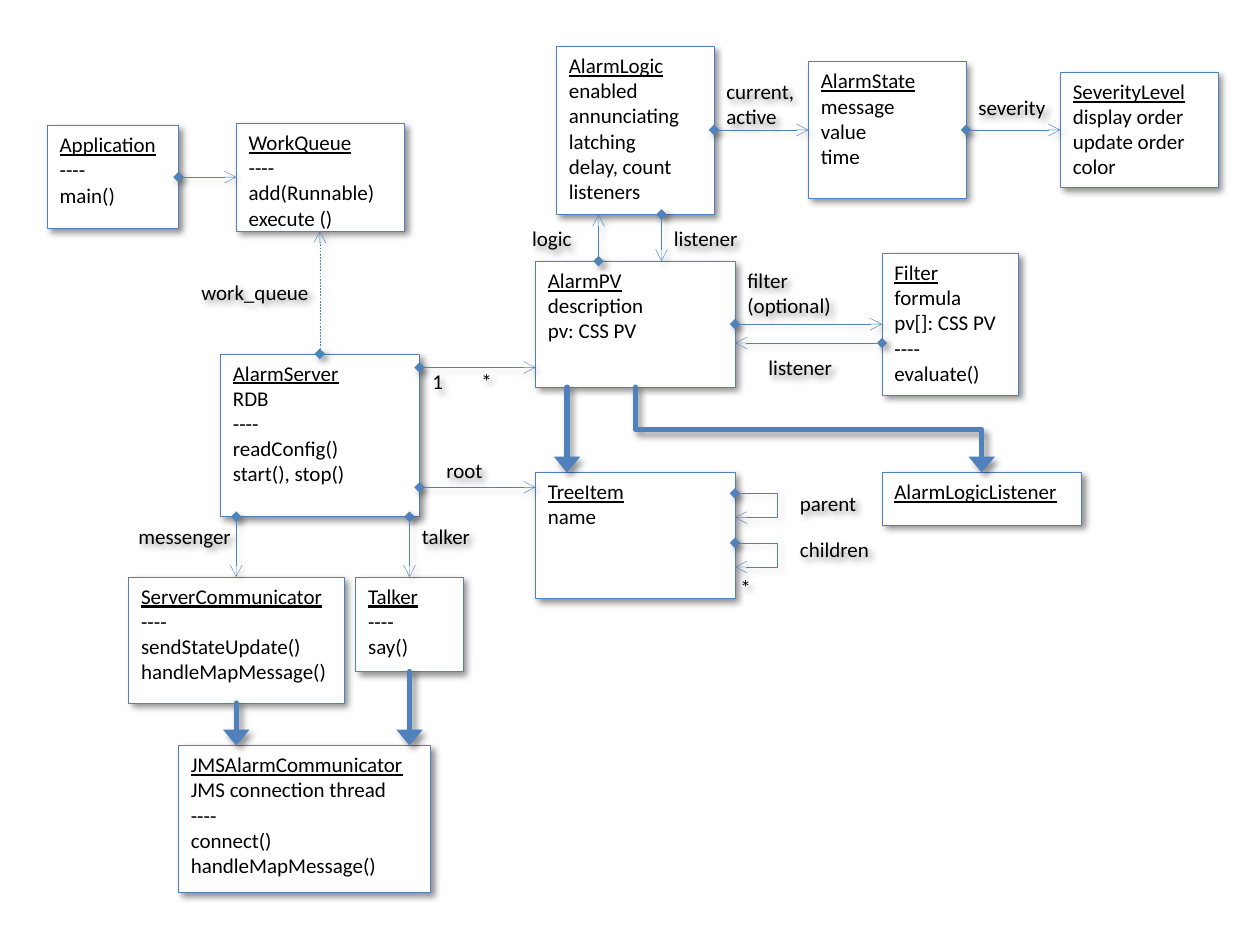
from dataclasses import dataclass
from typing import Optional

from lxml import etree
from pptx import Presentation
from pptx.dml.color import RGBColor
from pptx.enum.dml import MSO_LINE
from pptx.enum.shapes import MSO_CONNECTOR, MSO_SHAPE
from pptx.enum.text import MSO_ANCHOR, PP_ALIGN
from pptx.oxml.ns import qn
from pptx.util import Pt

BLUE, BLACK, WHITE = "4F81BD", "000000", "FFFFFF"
FONT, TEXT_SIZE = "Calibri", 12
THIN, THICK = 0.25, 3


@dataclass
class ClassBox:
    left: float
    top: float
    width: float
    height: float
    name: str
    members: tuple[str, ...] = ()


@dataclass
class Label:
    left: float
    top: float
    width: float
    height: float
    lines: tuple[str, ...]


@dataclass
class Link:
    x1: float
    y1: float
    x2: float
    y2: float
    head: Optional[str] = "diamond"
    tail: Optional[str] = "arrow"
    weight: float = THIN
    dashed: bool = False
    bend: Optional[int] = None
    rotation: int = 0


def inherits(x1: float, y1: float, x2: float, y2: float, **options) -> Link:
    return Link(x1, y1, x2, y2, head=None, tail="triangle", weight=THICK, **options)


def self_loop(y: float) -> list[Link]:
    """A stub leaving TreeItem and a bent arrow coming back."""
    return [
        Link(420, y, 438, y, tail=None),
        Link(438, y, 420, y + 13.75, head=None, bend=-33900),
    ]


BOXES = [
    ClassBox(606, 41.25, 90, 66, "SeverityLevel", ("display order", "update order", "color")),
    ClassBox(462, 35.25, 90, 78, "AlarmState", ("message", "value", "time")),
    ClassBox(318, 26.5, 90, 96, "AlarmLogic",
             ("enabled", "annunciating", "latching", "delay, count", "listeners")),
    ClassBox(306, 149.25, 114, 72, "AlarmPV", ("description", "pv: CSS PV")),
    ClassBox(504, 144.75, 78, 81, "Filter", ("formula", "pv[]: CSS PV", "----", "evaluate()")),
    ClassBox(126, 202.25, 113.75, 93, "AlarmServer",
             ("RDB", "----", "readConfig()", "start(), stop()")),
    ClassBox(73.5, 329.75, 123, 72, "ServerCommunicator",
             ("----", "sendStateUpdate()", "handleMapMessage()")),
    ClassBox(203.25, 329.75, 61.25, 54, "Talker", ("----", "say()")),
    ClassBox(102, 426, 144, 84, "JMSAlarmCommunicator",
             ("JMS connection thread", "----", "connect()", "handleMapMessage()")),
    ClassBox(135, 70.5, 96, 61.5, "WorkQueue", ("----", "add(Runnable)", "execute ()")),
    ClassBox(27, 71.75, 75, 58.75, "Application", ("----", "main()")),
    ClassBox(504, 270, 114, 30, "AlarmLogicListener"),
    ClassBox(306, 270, 114, 72, "TreeItem", ("name",)),
]

LINKS = [
    Link(552, 74.25, 606, 74.25),
    Link(408, 74.25, 462, 74.25),
    Link(420, 185.25, 504, 185.25),
    Link(504, 196, 420, 196),
    Link(239.75, 210, 306, 210),
    Link(239.75, 278.5, 306, 278.5),
    Link(135, 295.25, 135, 329.75),
    Link(234, 295.25, 234, 329.75),
    Link(102, 101.25, 135, 101.25),
    Link(182.75, 202.25, 182.75, 132, dashed=True),
    Link(342, 149.25, 342, 122.5),
    Link(378, 122.5, 378, 149.25),
    *self_loop(282),
    *self_loop(310.25),
    inherits(135, 401.75, 135, 426),
    inherits(234, 383.75, 234, 426),
    inherits(324, 221.25, 324, 270),
    # Frame turned by 270 degrees: runs from AlarmPV down to AlarmLogicListener
    inherits(486.5, 146.75, 437.75, 344.5, bend=50000, rotation=270),
]

LABELS = [
    Label(552, 50.25, 54, 24, ("severity",)),
    Label(408, 41.25, 54, 33, ("current, active",)),
    Label(420, 149.25, 66, 36, ("filter", "(optional)")),
    Label(108, 156, 83, 27, ("work_queue",)),
    Label(72, 295.5, 72, 27, ("messenger",)),
    Label(234, 295.5, 45, 27, ("talker",)),
    Label(432, 199, 54, 27, ("listener",)),
    Label(297, 125.5, 45, 24, ("logic",)),
    Label(378, 125.5, 54, 24, ("listener",)),
    Label(240, 207.25, 24, 21, ("1",)),
    Label(268, 207.25, 24, 21, ("*",)),
    Label(450, 276.5, 54, 27, ("parent",)),
    Label(450, 303, 54, 27, ("children",)),
    Label(416, 325, 30, 21, ("*",)),
    Label(248, 258, 45, 23, ("root",)),
]


def color(value: str) -> RGBColor:
    return RGBColor.from_string(value)


def add_shadow(properties) -> None:
    effects = properties.find(qn("a:effectLst"))
    if effects is None:
        effects = etree.SubElement(properties, qn("a:effectLst"))
    shadow = etree.SubElement(effects, qn("a:outerShdw"), blurRad=str(Pt(4)),
                              dist=str(Pt(3)), dir="2700000", algn="tl", rotWithShape="0")
    tint = etree.SubElement(shadow, qn("a:srgbClr"), val=BLACK)
    etree.SubElement(tint, qn("a:alpha"), val="43000")


def write_lines(shape, lines: tuple[str, ...], titled: bool = False) -> None:
    frame = shape.text_frame
    frame.word_wrap = True
    frame.vertical_anchor = MSO_ANCHOR.TOP
    for index, line in enumerate(lines):
        paragraph = frame.add_paragraph() if index else frame.paragraphs[0]
        paragraph.alignment = PP_ALIGN.LEFT
        run = paragraph.add_run()
        run.text = line
        run.font.name = FONT
        run.font.size = Pt(TEXT_SIZE)
        run.font.color.rgb = color(BLACK)
        run.font.underline = titled and index == 0


def draw_box(slide, box: ClassBox) -> None:
    shape = slide.shapes.add_shape(MSO_SHAPE.RECTANGLE, Pt(box.left), Pt(box.top),
                                   Pt(box.width), Pt(box.height))
    shape.fill.solid()
    shape.fill.fore_color.rgb = color(WHITE)
    shape.line.color.rgb = color(BLUE)
    shape.line.width = Pt(THIN)
    shape.shadow.inherit = False
    add_shadow(shape._element.spPr)
    write_lines(shape, (box.name, *box.members), titled=True)


def draw_link(slide, link: Link) -> None:
    kind = MSO_CONNECTOR.STRAIGHT if link.bend is None else MSO_CONNECTOR.ELBOW
    connector = slide.shapes.add_connector(kind, Pt(link.x1), Pt(link.y1),
                                           Pt(link.x2), Pt(link.y2))
    connector.line.color.rgb = color(BLUE)
    connector.line.width = Pt(link.weight)
    if link.dashed:
        connector.line.dash_style = MSO_LINE.DASH
    properties = connector._element.spPr
    outline = properties.find(qn("a:ln"))
    if link.weight == THICK:
        outline.set("cap", "rnd")
    for tag, end in (("a:headEnd", link.head), ("a:tailEnd", link.tail)):
        if end:
            width = "lg" if end == "triangle" else "med"
            etree.SubElement(outline, qn(tag), type=end, w=width, len="med")
    if link.bend is not None:
        guides = properties.find(qn("a:prstGeom")).find(qn("a:avLst"))
        etree.SubElement(guides, qn("a:gd"), name="adj1", fmla=f"val {link.bend}")
    if link.rotation:
        properties.find(qn("a:xfrm")).set("rot", str(link.rotation * 60000))
    add_shadow(properties)


def draw_label(slide, label: Label) -> None:
    box = slide.shapes.add_textbox(Pt(label.left), Pt(label.top),
                                   Pt(label.width), Pt(label.height))
    write_lines(box, label.lines)
    add_shadow(box._element.spPr)


# Slide
presentation = Presentation()
presentation.slide_width, presentation.slide_height = Pt(720), Pt(540)
slide = presentation.slides.add_slide(presentation.slide_layouts[6])

# Classes, then their relations, then the role names
for class_box in BOXES:
    draw_box(slide, class_box)
for relation in LINKS:
    draw_link(slide, relation)
for role in LABELS:
    draw_label(slide, role)

presentation.save("out.pptx")
